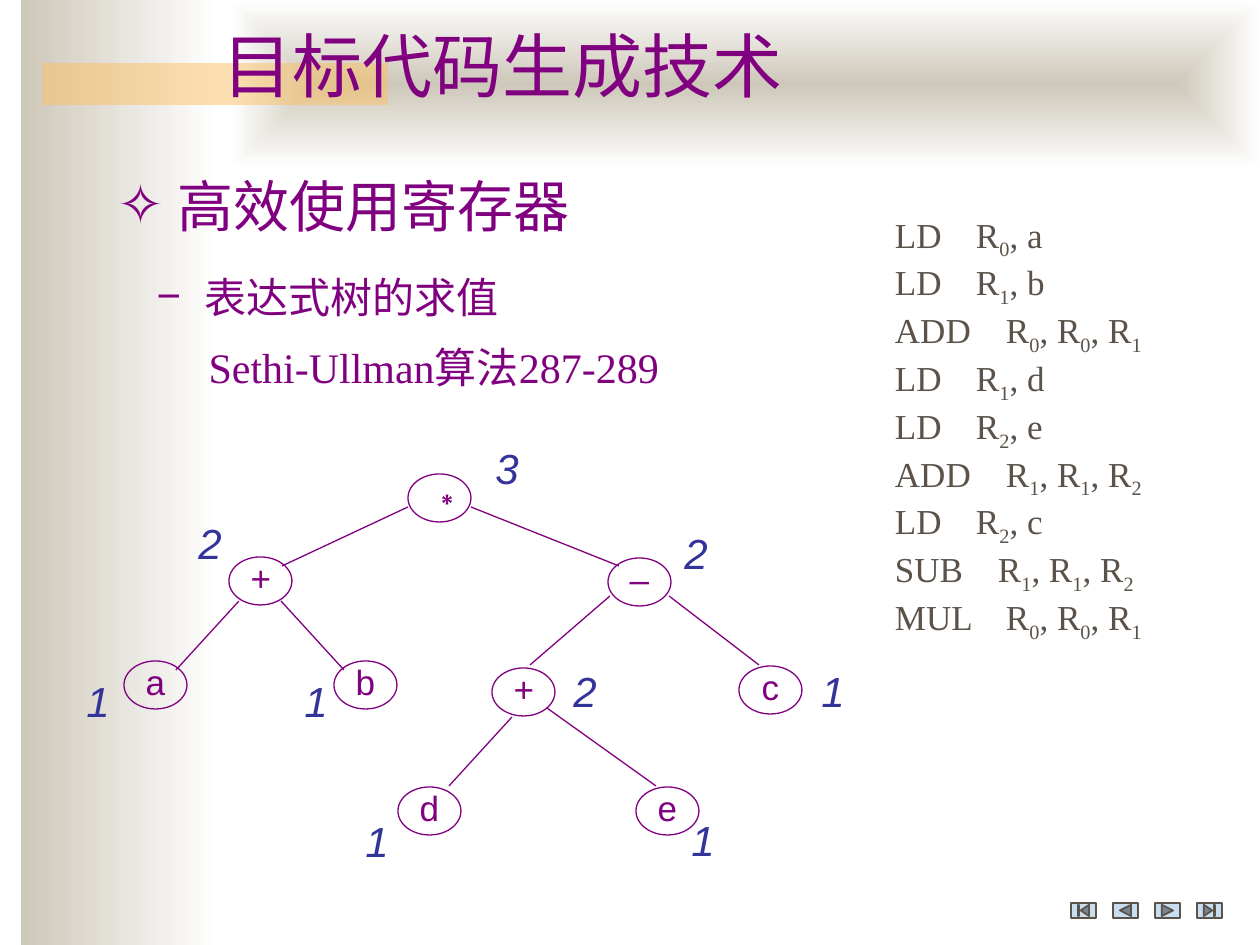
"""Build the slide on register use and the Sethi-Ullman expression tree."""
from lxml import etree
from pptx import Presentation
from pptx import util as u
from pptx.dml import color as dml
from pptx.enum import shapes, text
from pptx.oxml import ns

SCALE = 914400 / 126
PURPLE, BLUE, BROWN, SAND, WHITE = "800080", "333399", "5B5249", "CEC8BA", "FFFFFF"
SERIF, SANS = "Times New Roman", "Arial"
rgb = dml.RGBColor.from_string


def px(*lengths):
    return [u.Emu(round(length * SCALE)) for length in lengths]


def add_run(paragraph, words, size, font, color):
    run = paragraph.add_run()
    run.text = words
    run.font.size = u.Pt(size)
    run.font.name = font
    run.font.color.rgb = rgb(color)
    return run


presentation = Presentation()
presentation.slide_width, presentation.slide_height = px(1260, 945)
slide = presentation.slides.add_slide(presentation.slide_layouts[3])
title, heading, details = slide.placeholders

bars = []
for bounds in [(21, 0, 199, 945), (231, 0, 1029, 168), (42, 63, 346, 42)]:
    bar = slide.shapes.add_shape(shapes.MSO_SHAPE.RECTANGLE, *px(*bounds))
    bar.shadow.inherit = False
    bar.line.fill.background()
    title.element.addprevious(bar.element)
    bars.append(bar)
side, band, accent = bars
for bar, stops in [(side, (WHITE, SAND)), (band, (SAND, WHITE))]:
    bar.fill.gradient()
    bar.fill.gradient_angle = 180
    for stop, color in zip(bar.fill.gradient_stops, stops):
        stop.color.rgb = rgb(color)
        stop.position = stops.index(color)
linear = band.element.spPr.find(".//" + ns.qn("a:lin"))
radial = etree.Element(ns.qn("a:path"), path="rect")
etree.SubElement(radial, ns.qn("a:fillToRect"), l="50000", t="50000", r="50000", b="50000")
linear.getparent().replace(linear, radial)
accent.fill.solid()
accent.fill.fore_color.rgb = rgb("FAC164")
accent_color = accent.element.spPr.find(".//" + ns.qn("a:srgbClr"))
etree.SubElement(accent_color, ns.qn("a:alpha"), val="50000")

for holder, bounds, lines in [
    (title, (210, 26, 599, 88), [("目标代码生成技术", 40, None, 0)]),
    (heading, (105, 165, 515, 81), [("高效使用寄存器", 32, "✧", 60)]),
    (details, (144, 265, 566, 135), [("表达式树的求值", 24, "−", 48), ("Sethi-Ullman算法287-289", 24, None, 52)]),
]:
    holder.left, holder.top, holder.width, holder.height = px(*bounds)
    frame = holder.text_frame
    frame.word_wrap = True
    frame.auto_size = text.MSO_AUTO_SIZE.NONE
    frame.vertical_anchor = text.MSO_ANCHOR.TOP
    for index, (words, size, bullet, indent) in enumerate(lines):
        paragraph = frame.add_paragraph() if index else frame.paragraphs[0]
        properties = paragraph._p.get_or_add_pPr()
        margin, = px(indent)
        properties.set("marL", str(margin))
        properties.set("indent", str(-margin if bullet else 0))
        if bullet:
            etree.SubElement(properties, ns.qn("a:buChar"), char=bullet)
        else:
            etree.SubElement(properties, ns.qn("a:buNone"))
        paragraph.alignment = text.PP_ALIGN.LEFT
        paragraph.space_before = u.Pt(11.5 if index else 0)
        paragraph.line_spacing = 0.9 if holder is title else 1.0
        add_run(paragraph, words, size, SERIF, PURPLE)

nodes = [
    ("∗", 408, 474, "3", 483, 452),
    ("+", 229, 557, "2", 186, 527),
    ("–", 608, 558, "2", 672, 537),
    ("a", 124, 661, "1", 74, 685),
    ("b", 334, 661, "1", 292, 685),
    ("+", 492, 668, "2", 561, 675),
    ("c", 739, 666, "1", 809, 675),
    ("d", 398, 787, "1", 353, 825),
    ("e", 636, 787, "1", 679, 824),
]
for symbol, left, top, rank, rank_left, rank_top in nodes:
    node = slide.shapes.add_shape(shapes.MSO_SHAPE.OVAL, *px(left, top, 63, 48))
    node.shadow.inherit = False
    node.fill.background()
    node.line.color.rgb = rgb(PURPLE)
    node.line.width = u.Pt(0.75)
    node.text_frame.vertical_anchor = text.MSO_ANCHOR.MIDDLE
    label = slide.shapes.add_textbox(*px(rank_left, rank_top, 49, 40))
    label.text_frame.word_wrap = True
    for shape in (node, label):
        shape.text_frame.margin_top = shape.text_frame.margin_bottom = 0
        shape.text_frame.paragraphs[0].line_spacing = 0.8
    paragraph = node.text_frame.paragraphs[0]
    paragraph.alignment = text.PP_ALIGN.CENTER
    add_run(paragraph, symbol, 20, SANS, PURPLE)
    add_run(label.text_frame.paragraphs[0], rank, 24, SANS, BLUE).font.italic = True

for ends in [
    (408, 507, 282, 566), (471, 507, 619, 566), (239, 601, 176, 670), (344, 670, 281, 601),
    (610, 596, 530, 665), (669, 596, 759, 665), (512, 717, 449, 786), (547, 708, 656, 786),
]:
    edge = slide.shapes.add_connector(shapes.MSO_CONNECTOR.STRAIGHT, *px(*ends))
    edge.line.color.rgb = rgb(PURPLE)
    edge.line.width = u.Pt(0.75)
    etree.SubElement(edge.element.spPr, ns.qn("a:effectLst"))

code = slide.shapes.add_textbox(*px(809, 207, 377, 442))
code.text_frame.word_wrap = True
code.text_frame.margin_left, = px(86)
operand_tabs = {"LD": 81, "ADD": 111, "SUB": 103, "MUL": 111}
instructions = [
    ("LD", "0", ", a"), ("LD", "1", ", b"), ("ADD", "0", ", R", "0", ", R", "1"),
    ("LD", "1", ", d"), ("LD", "2", ", e"), ("ADD", "1", ", R", "1", ", R", "2"),
    ("LD", "2", ", c"), ("SUB", "1", ", R", "1", ", R", "2"), ("MUL", "0", ", R", "0", ", R", "1"),
]
for index, (operation, *operands) in enumerate(instructions):
    paragraph = code.text_frame.add_paragraph() if index else code.text_frame.paragraphs[0]
    tabs = etree.SubElement(paragraph._p.get_or_add_pPr(), ns.qn("a:tabLst"))
    position, = px(operand_tabs[operation])
    etree.SubElement(tabs, ns.qn("a:tab"), pos=str(position), algn="l")
    for words in (operation + "\tR", *operands):
        run = add_run(paragraph, words, 20, SERIF, BROWN)
        if words.isdigit():
            run._r.get_or_add_rPr().set("baseline", "-25000")

buttons = [
    shapes.MSO_SHAPE.ACTION_BUTTON_BEGINNING,
    shapes.MSO_SHAPE.ACTION_BUTTON_BACK_OR_PREVIOUS,
    shapes.MSO_SHAPE.ACTION_BUTTON_FORWARD_OR_NEXT,
    shapes.MSO_SHAPE.ACTION_BUTTON_END,
]
for index, kind in enumerate(buttons):
    button = slide.shapes.add_shape(kind, *px(1071 + 42 * index, 903, 25, 15))
    button.shadow.inherit = False
    button.fill.solid()
    button.fill.fore_color.rgb = rgb("C9DDF1")
    button.line.color.rgb = rgb(BROWN)
    button.line.width = u.Pt(1)

presentation.save("out.pptx")
